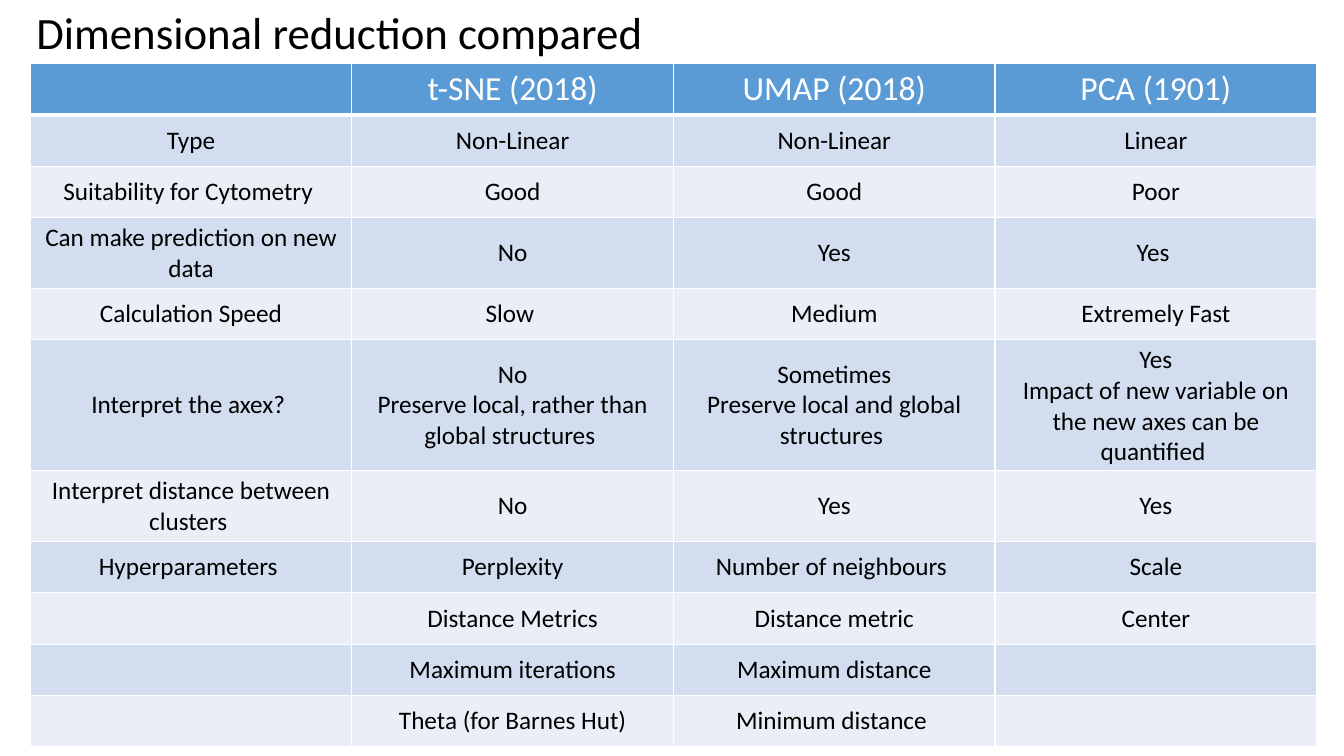
import pptx
import pptx.util
import pptx.dml.color
import pptx.enum.text
import pptx.oxml

PX = 9144
COLOURS = {"header": "5B9BD5", "odd": "D2DEEF", "even": "EAEFF7", "white": "FFFFFF", "black": "000000"}
RGB = {name: pptx.dml.color.RGBColor.from_string(value) for name, value in COLOURS.items()}
ALIGN = pptx.enum.text.PP_ALIGN
MIDDLE = pptx.enum.text.MSO_ANCHOR.MIDDLE
NAMESPACE = "http://schemas.openxmlformats.org/drawingml/2006/main"

COMPARISON = [
    (51, ["", "t-SNE (2018)", "UMAP (2018)", "PCA (1901)"]),
    (51, ["Type", "Non-Linear", "Non-Linear", "Linear"]),
    (51, ["Suitability for Cytometry ", "Good", "Good", "Poor"]),
    (69, ["Can make prediction on new data", "No", "Yes", "Yes "]),
    (51, ["Calculation Speed", "Slow ", "Medium", "Extremely Fast"]),
    (128, ["Interpret the axex? ",
           "No\nPreserve local, rather than global structures ",
           "Sometimes\nPreserve local and global structures ",
           "Yes\nImpact of new variable on the new axes can be quantified "]),
    (69, ["Interpret distance between clusters ", "No", "Yes", "Yes"]),
    (51, ["Hyperparameters ", "Perplexity", "Number of neighbours ", "Scale"]),
    (51, ["", "Distance Metrics", "Distance metric", "Center"]),
    (51, ["", "Maximum iterations", "Maximum distance", ""]),
    (51, ["", "Theta (for Barnes Hut)", "Minimum distance ", ""]),
]


def format_text(text_frame, size, colour, alignment):
    font_format = {"name": "Calibri", "size": pptx.util.Pt(size), "bold": False}
    for paragraph in text_frame.paragraphs:
        paragraph.alignment = alignment
        for attribute, value in font_format.items():
            setattr(paragraph.font, attribute, value)
        paragraph.font.color.rgb = RGB[colour]
        for run in paragraph.runs:
            for attribute, value in font_format.items():
                setattr(run.font, attribute, value)
            run.font.color.rgb = RGB[colour]


def add_borders(cell, widths):
    properties = cell._tc.get_or_add_tcPr()
    for side, width in widths.items():
        properties.append(pptx.oxml.parse_xml(
            f'<a:ln{side} xmlns:a="{NAMESPACE}" w="{pptx.util.Pt(width)}"><a:solidFill>'
            f'<a:srgbClr val="{COLOURS["white"]}"/></a:solidFill></a:ln{side}>'))


presentation = pptx.Presentation()
presentation.slide_width = 1333 * PX
presentation.slide_height = 750 * PX
slide = presentation.slides.add_slide(presentation.slide_layouts[5])

title = slide.shapes.title
for attribute, value in {"left": 26, "top": 0, "width": 895, "height": 64}.items():
    setattr(title, attribute, value * PX)
title_format = {
    "text": "Dimensional reduction compared",
    "word_wrap": True,
    "auto_size": pptx.enum.text.MSO_AUTO_SIZE.SHAPE_TO_FIT_TEXT,
    "vertical_anchor": pptx.enum.text.MSO_ANCHOR.TOP,
}
for attribute, value in title_format.items():
    setattr(title.text_frame, attribute, value)
format_text(title.text_frame, 32, "black", ALIGN.LEFT)

table_height = sum(height for height, texts in COMPARISON)
table = slide.shapes.add_table(
    len(COMPARISON), 4, 30 * PX, 63 * PX, 1276 * PX, table_height * PX).table

for row_index, (height, texts) in enumerate(COMPARISON):
    is_header = row_index == 0
    table.rows[row_index].height = height * PX
    fill_name = "header" if is_header else ("odd" if row_index % 2 else "even")
    for column_index, text in enumerate(texts):
        cell = table.cell(row_index, column_index)
        cell.text = text
        cell.vertical_anchor = MIDDLE
        format_text(cell.text_frame, 24 if is_header else 18,
                    "white" if is_header else "black", ALIGN.CENTER)
        add_borders(cell, {"L": 1, "R": 1, "T": 1, "B": 3 if is_header else 1})
        cell.fill.solid()
        cell.fill.fore_color.rgb = RGB[fill_name]

presentation.save("out.pptx")
